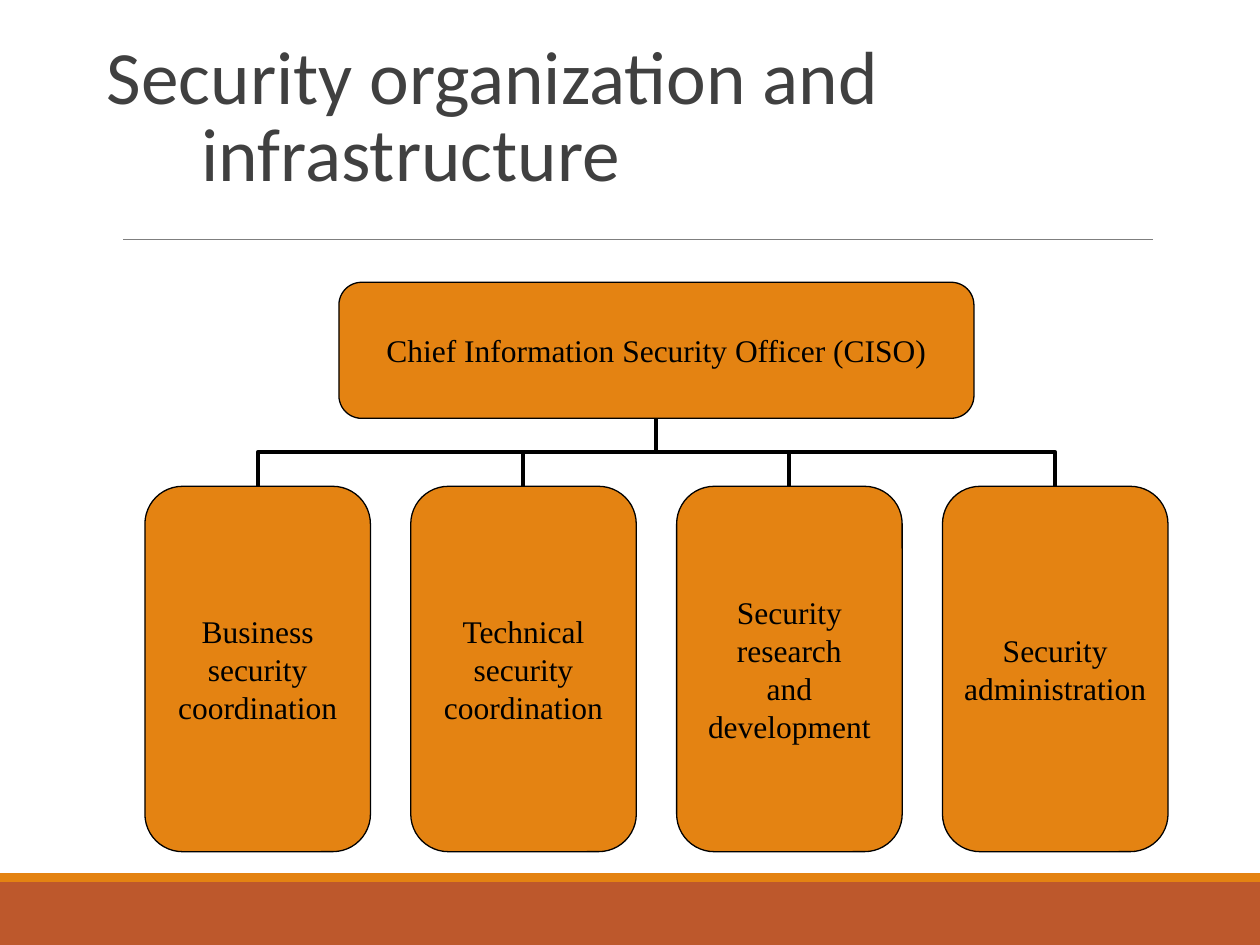
from lxml.etree import SubElement
from pptx import Presentation
from pptx.dml.color import RGBColor
from pptx.enum.shapes import MSO_CONNECTOR, MSO_SHAPE
from pptx.enum.text import MSO_ANCHOR, PP_ALIGN
from pptx.oxml.ns import qn
from pptx.util import Inches, Pt

TITLE = "Security organization and infrastructure"
CHIEF = ["Chief Information Security Officer (CISO)"]
DEPARTMENTS = [
    ["Business", "security", "coordination"],
    ["Technical", "security", "coordination"],
    ["Security", "research", "and", "development"],
    ["Security", "administration"],
]
COLORS = {"orange": "E48312", "rust": "BD582C", "rule": "7F7F7F",
          "title": "404040", "ink": "000000"}
FOOTER_BANDS = [("rust", 7, 0.5), ("orange", 6.93, 0.07)]

CHART_CENTER = 5.21
CHIEF_TOP, CHIEF_WIDTH, CHIEF_HEIGHT = 2.24, 5.04, 1.08
DEPT_TOP, DEPT_WIDTH, DEPT_HEIGHT, DEPT_GAP = 3.86, 1.79, 2.9, 0.32
CORNER = 0.167

BOX_FRAME = {"word_wrap": False, "vertical_anchor": MSO_ANCHOR.MIDDLE,
             "margin_left": Inches(0.07), "margin_right": Inches(0.07),
             "margin_top": Inches(0.04), "margin_bottom": Inches(0.04)}
TITLE_FRAME = {"word_wrap": True, "vertical_anchor": MSO_ANCHOR.BOTTOM,
               "margin_bottom": Inches(0.67)}
BOX_FONT = {"name": "Times New Roman", "size": Pt(18)}
TITLE_FONT = {"name": "Calibri", "size": Pt(43)}


def color(name):
    """Return the named colour."""
    return RGBColor.from_string(COLORS[name])


def apply(target, values):
    """Set each format value on the target."""
    for name, value in values.items():
        setattr(target, name, value)


def add_filled(slide, kind, fill, left, top, width, height):
    """Add a shape with a plain fill, no line and no shadow."""
    shape = slide.shapes.add_shape(
        kind, Inches(left), Inches(top), Inches(width), Inches(height))
    shape.shadow.inherit = False
    shape.fill.solid()
    shape.fill.fore_color.rgb = color(fill)
    shape.line.fill.background()
    return shape


def add_line(slide, kind, start, end, ink, weight):
    """Add a connector without a shadow."""
    line = slide.shapes.add_connector(
        kind, *(Inches(value) for value in (*start, *end)))
    line.line.color.rgb = color(ink)
    line.line.width = Pt(weight)
    SubElement(line._element.spPr, qn("a:effectLst"))
    return line


def add_branch(slide, dept_center):
    """Join a department to the chief with a vertical elbow."""
    chief_bottom = CHIEF_TOP + CHIEF_HEIGHT
    drop = DEPT_TOP - chief_bottom
    reach = abs(dept_center - CHART_CENTER)
    side = 1 if dept_center > CHART_CENTER else -1
    mid_x = (dept_center + CHART_CENTER) / 2
    mid_y = (DEPT_TOP + chief_bottom) / 2
    # Laid out sideways around its centre, then turned a quarter
    branch = add_line(slide, MSO_CONNECTOR.ELBOW,
                      (mid_x - side * drop / 2, mid_y + reach / 2),
                      (mid_x + side * drop / 2, mid_y - reach / 2), "ink", 2.24)
    quarter_turns = 3 if side > 0 else 1
    branch._element.spPr.find(qn("a:xfrm")).set("rot", str(quarter_turns * 5400000))


def add_role(slide, lines, center, top, width, height):
    """Add a rounded box with centred lines of text."""
    role = add_filled(slide, MSO_SHAPE.ROUNDED_RECTANGLE, "orange",
                      center - width / 2, top, width, height)
    role.adjustments[0] = CORNER
    role.line.color.rgb = color("ink")
    role.line.width = Pt(0.74)
    role.text_frame.text = "\n".join(lines)
    apply(role.text_frame, BOX_FRAME)
    for paragraph in role.text_frame.paragraphs:
        paragraph.alignment = PP_ALIGN.CENTER
        apply(paragraph.runs[0].font, BOX_FONT)
        paragraph.runs[0].font.color.rgb = color("ink")


def add_title(slide):
    """Add the title with a hanging indent."""
    title = slide.shapes.add_textbox(
        Inches(0.75), Inches(1.23), Inches(8.92), Inches(1))
    apply(title.text_frame, TITLE_FRAME)
    paragraph = title.text_frame.paragraphs[0]
    paragraph.line_spacing = 0.85
    properties = paragraph._p.get_or_add_pPr()
    properties.set("marL", str(Inches(0.75)))
    properties.set("indent", str(-Inches(0.75)))
    run = paragraph.add_run()
    run.text = TITLE
    apply(run.font, TITLE_FONT)
    run.font.color.rgb = color("title")


def build():
    """Build and save the slide."""
    deck = Presentation()
    deck.slide_width, deck.slide_height = Inches(10), Inches(7.5)
    slide = deck.slides.add_slide(deck.slide_layouts[6])
    for fill, top, height in FOOTER_BANDS:
        add_filled(slide, MSO_SHAPE.RECTANGLE, fill, 0, top, 10, height)
    add_line(slide, MSO_CONNECTOR.STRAIGHT, (0.98, 1.9), (9.15, 1.9), "rule", 0.51)
    add_title(slide)

    middle = (len(DEPARTMENTS) - 1) / 2
    centers = [CHART_CENTER + (index - middle) * (DEPT_WIDTH + DEPT_GAP)
               for index in range(len(DEPARTMENTS))]
    for center in reversed(centers):
        add_branch(slide, center)
    add_role(slide, CHIEF, CHART_CENTER, CHIEF_TOP, CHIEF_WIDTH, CHIEF_HEIGHT)
    for lines, center in zip(DEPARTMENTS, centers):
        add_role(slide, lines, center, DEPT_TOP, DEPT_WIDTH, DEPT_HEIGHT)
    deck.save("out.pptx")


build()
